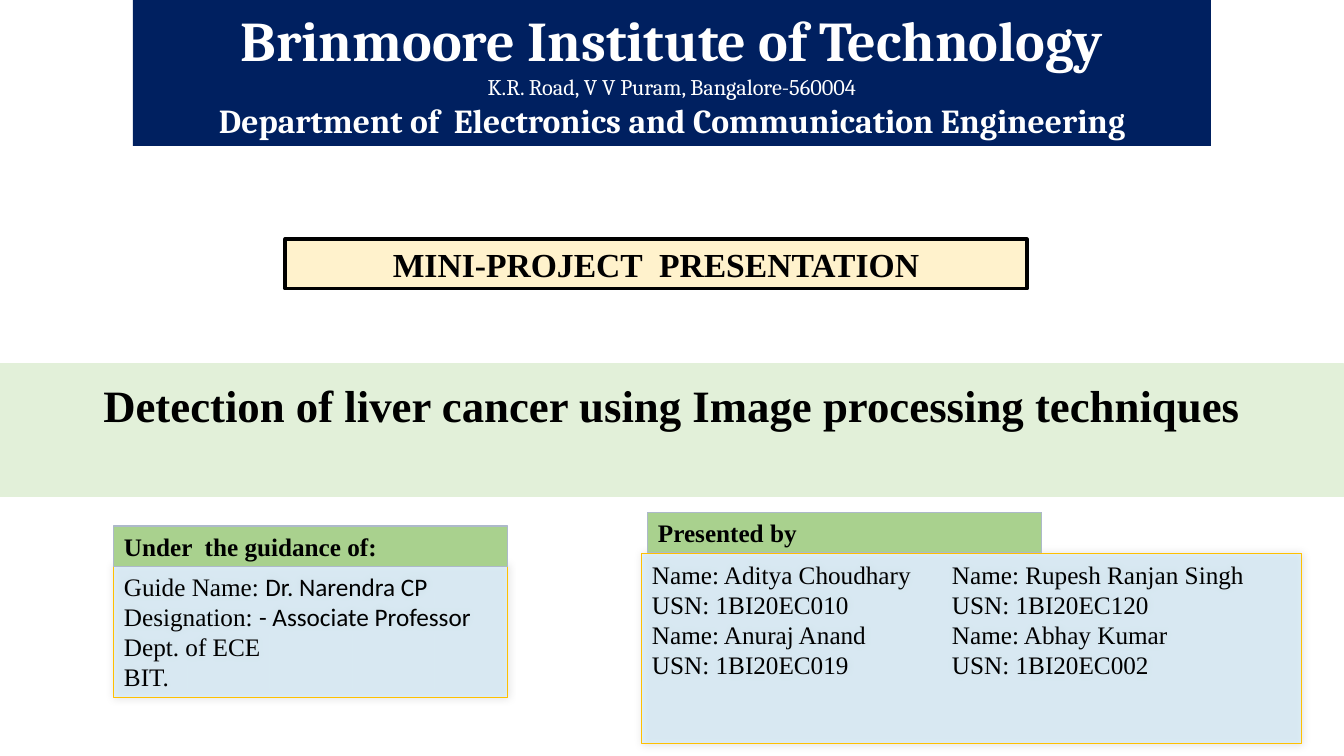
from dataclasses import dataclass

from lxml.etree import SubElement
from pptx import Presentation
from pptx.dml.color import RGBColor
from pptx.enum.shapes import MSO_SHAPE as Shp
from pptx.enum.text import MSO_ANCHOR as Anc, PP_ALIGN as Al
from pptx.oxml.ns import qn
from pptx.util import Pt

PX = 914400 / 100.8  # EMU per px
SERIF, SANS, HEAD = "Times New Roman", "Calibri", "Cambria"


@dataclass
class Run:
    text: str
    size: int = 18
    font: str = SERIF
    bold: bool = False
    color: str = "000000"


@dataclass
class Box:
    at: tuple[int, int, int, int]
    fill: str
    paras: list[list[Run]]
    line: str | None = None
    width: float = 0.75
    align: Al = Al.LEFT
    anchor: Anc = Anc.TOP
    glass: bool = False  # half-transparent fill with a soft shadow
    tab: int | None = None
    spacing: float = 1.0
    bottom: int = 5


def emu(px: float) -> int:
    return round(px * PX)


def rgb(color: str) -> RGBColor:
    return RGBColor.from_string(color)


def add_glass(s) -> None:
    sp_pr = s.element.spPr
    SubElement(sp_pr.find(f"{qn('a:solidFill')}/{qn('a:srgbClr')}"),
               qn("a:alpha"), val="50000")
    shadow = SubElement(sp_pr.find(qn("a:effectLst")), qn("a:outerShdw"),
                        blurRad=str(Pt(6)), dist="0", dir="18900000",
                        rotWithShape="0")
    color = SubElement(shadow, qn("a:srgbClr"), val="000000")
    SubElement(color, qn("a:alpha"), val="20000")


def add_tab(p, px: int) -> None:
    tabs = SubElement(p._p.get_or_add_pPr(), qn("a:tabLst"))
    SubElement(tabs, qn("a:tab"), pos=str(emu(px)), algn="l")


def write(tf, box: Box) -> None:
    frame = {"word_wrap": True, "vertical_anchor": box.anchor,
             "margin_left": emu(10), "margin_right": emu(10),
             "margin_top": emu(5), "margin_bottom": emu(box.bottom)}
    for name, value in frame.items():
        setattr(tf, name, value)
    for i, runs in enumerate(box.paras):
        p = tf.add_paragraph() if i else tf.paragraphs[0]
        p.alignment, p.line_spacing = box.align, box.spacing
        if box.tab:
            add_tab(p, box.tab)
        for run in runs:
            r = p.add_run()
            r.text = run.text
            fmt = {"size": Pt(run.size), "name": run.font, "bold": run.bold}
            for name, value in fmt.items():
                setattr(r.font, name, value)
            r.font.color.rgb = rgb(run.color)


def style(s, box: Box) -> None:
    for name, px in zip(("left", "top", "width", "height"), box.at):
        setattr(s, name, emu(px))
    s.fill.solid()
    s.fill.fore_color.rgb = rgb(box.fill)
    if box.line:
        s.line.color.rgb = rgb(box.line)
        s.line.width = Pt(box.width)
    else:
        s.line.fill.background()
    write(s.text_frame, box)


def add_box(slide, box: Box) -> None:
    s = slide.shapes.add_shape(Shp.RECTANGLE, *map(emu, box.at))
    s.shadow.inherit = False
    style(s, box)
    if box.glass:
        add_glass(s)


def label(x: int, y: int, text: str) -> Box:
    return Box((x, y, 394, 41), "A9D18E", [[Run(text, bold=True)]], "ADB9CA")


def panel(at: tuple[int, int, int, int], paras: list[list[Run]],
          tab: int | None = None) -> Box:
    return Box(at, "CCECFF", paras, "FFC000", align=Al.JUSTIFY,
               glass=True, tab=tab)


TITLE = Box((0, 364, 1344, 133), "E2F0D9",
            [[Run("Detection of liver cancer using Image processing techniques",
                  32, bold=True)]],
            "E2F0D9", align=Al.CENTER, anchor=Anc.MIDDLE, spacing=0.9, bottom=51)

HEADER = Box((133, 0, 1078, 146), "002060", [
    [Run("Brinmoore Institute of Technology", 40, HEAD, True, "FFFFFF")],
    [Run("K.R. Road, V V Puram, Bangalore-560004", 16, HEAD, False, "FFFFFF")],
    [Run("Department of  Electronics and Communication Engineering",
         24, HEAD, True, "FFFFFF")],
], align=Al.CENTER, anchor=Anc.MIDDLE)

BANNER = Box((285, 239, 742, 50), "FFF2CC",
             [[Run("MINI-PROJECT  PRESENTATION", 24, bold=True)]],
             "000000", 2.25, Al.CENTER)

GUIDE = [
    [Run("Guide Name: "), Run("Dr. Narendra CP", font=SANS)],
    [Run("Designation: "), Run("- Associate Professor", font=SANS)],
    [Run("Dept. of ECE")],
    [Run("BIT.")],
]

# Students, two per row
STUDENTS = [
    (("Aditya Choudhary", "1BI20EC010"), ("Rupesh Ranjan Singh", "1BI20EC120")),
    (("Anuraj Anand", "1BI20EC019"), ("Abhay Kumar", "1BI20EC002")),
]
TEAM = [[Run("\t".join(f"{field}: {student[k]}" for student in row))]
        for row in STUDENTS for k, field in enumerate(("Name", "USN"))]


def main() -> None:
    prs = Presentation()
    prs.slide_width, prs.slide_height = emu(1344), emu(756)
    slide = prs.slides.add_slide(prs.slide_layouts[0])

    # Project title; the subtitle is not needed
    subtitle = slide.placeholders[1].element
    subtitle.getparent().remove(subtitle)
    style(slide.shapes.title, TITLE)

    # Header, banner, guide and team
    for box in (HEADER, BANNER,
                panel((114, 566, 394, 132), GUIDE),
                label(114, 526, "Under  the guidance of:"),
                panel((642, 554, 660, 190), TEAM, tab=300),
                label(648, 512, "Presented by")):
        add_box(slide, box)

    prs.save("out.pptx")


if __name__ == "__main__":
    main()
